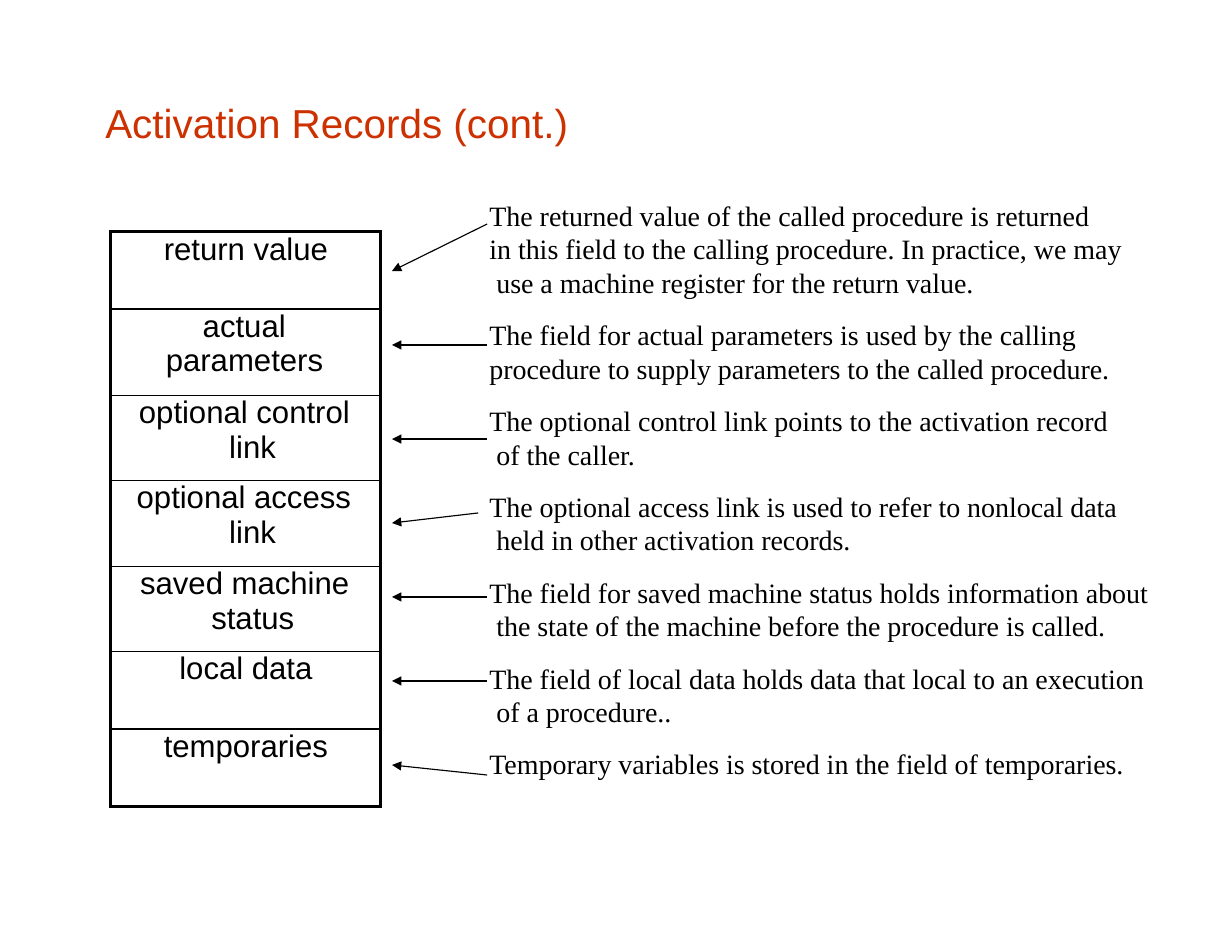
from lxml import etree
from pptx import Presentation
from pptx.dml.color import RGBColor
from pptx.enum.shapes import MSO_CONNECTOR
from pptx.enum.text import PP_ALIGN
from pptx.oxml.ns import qn
from pptx.util import Inches, Pt

CENTER = PP_ALIGN.CENTER
STRAIGHT = MSO_CONNECTOR.STRAIGHT
BLACK = "000000"


def color(hex_string):
    return RGBColor.from_string(hex_string)


def write(p, text, size, font, hex_string, spacing=0):
    """Add one run per line of text; spacing is in hundredths of a point."""
    for i, line in enumerate(text.split("\n")):
        if i:
            p.add_line_break()
        r = p.add_run()
        r.text = line
        r.font.size = Pt(size)
        r.font.name = font
        r.font.color.rgb = color(hex_string)
        r._r.get_or_add_rPr().set("spc", str(spacing))


# Field name, row height, (margin, first-line indent) or None if centred,
# description, arrow (tail x, tail y, head y)
FIELDS = [
    ("return value", 0.69, None,
     "The returned value of the called procedure is returned\n"
     "in this field to the calling procedure. In practice, we may\n"
     " use a machine register for the return value.", (4.35, 2.0, 2.42)),
    ("actual\nparameters", 0.77, (0.49, 0.33),
     "The field for actual parameters is used by the calling\n"
     "procedure to supply parameters to the called procedure.", (4.35, 3.08, 3.08)),
    ("optional control\n link", 0.76, (0.98, -0.73),
     "The optional control link points to the activation record\n"
     " of the caller.", (4.35, 3.92, 3.92)),
    ("optional access\n link", 0.77, (0.98, -0.75),
     "The optional access link is used to refer to nonlocal data\n"
     " held in other activation records.", (4.27, 4.58, 4.67)),
    ("saved machine\n status", 0.76, (0.82, -0.56),
     "The field for saved machine status holds information about\n"
     " the state of the machine before the procedure is called.", (4.35, 5.33, 5.33)),
    ("local data", 0.69, None,
     "The field of local data holds data that local to an execution\n"
     " of a procedure..", (4.35, 6.08, 6.08)),
    ("temporaries", 0.69, None,
     "Temporary variables is stored in the field of temporaries.", (4.35, 6.92, 6.83)),
]

prs = Presentation()
prs.slide_width = Inches(11)
prs.slide_height = Inches(8.5)
s = prs.slides.add_slide(prs.slide_layouts[6])

# Title and description boxes
frames = []
for left, top, width, height in [(0.94, 0.88, 9.15, 0.46), (4.37, 1.77, 5.93, 5.23)]:
    tf = s.shapes.add_textbox(Inches(left), Inches(top), Inches(width), Inches(height)).text_frame
    tf.margin_left = tf.margin_top = tf.margin_right = tf.margin_bottom = 0
    tf.word_wrap = False
    frames.append(tf)
title, descriptions = frames
write(title.paragraphs[0], "Activation Records (cont.)", 26, "Arial", "CD3100")

for i, (name, height, indent, text, arrow) in enumerate(FIELDS):
    p = descriptions.add_paragraph() if i else descriptions.paragraphs[0]
    if i:
        p.space_before = Pt(12)
    write(p, text, 18, "Times New Roman", BLACK, -3)

# Activation record
table = s.shapes.add_table(len(FIELDS), 1, Inches(0.99), Inches(2.07),
                           Inches(2.41), Inches(5.13)).table
table.first_row = False
table.horz_banding = False
last = len(FIELDS) - 1
for i, (name, height, indent, text, arrow) in enumerate(FIELDS):
    table.rows[i].height = Inches(height)
    cell = table.cell(i, 0)
    cell.margin_left = cell.margin_top = cell.margin_right = cell.margin_bottom = 0
    p = cell.text_frame.paragraphs[0]
    if indent:
        pPr = p._p.get_or_add_pPr()
        pPr.set("marL", str(Inches(indent[0])))
        pPr.set("indent", str(Inches(indent[1])))
    else:
        p.alignment = CENTER
    write(p, name, 20, "Arial", BLACK, -3)

    tcPr = cell._tc.get_or_add_tcPr()
    borders = {"lnL": 2.25, "lnR": 2.25,
               "lnT": 1 if i else 2.25, "lnB": 1 if i < last else 2.25}
    for side, points in borders.items():
        ln = etree.SubElement(tcPr, qn("a:" + side), w=str(Pt(points)))
        fill = etree.SubElement(ln, qn("a:solidFill"))
        etree.SubElement(fill, qn("a:srgbClr"), val=BLACK)
    cell.fill.background()

# Arrows from the descriptions to the fields
for name, height, indent, text, (tail_x, tail_y, head_y) in FIELDS:
    arrow = s.shapes.add_connector(STRAIGHT, Inches(tail_x), Inches(tail_y),
                                   Inches(3.5), Inches(head_y))
    arrow.line.color.rgb = color(BLACK)
    arrow.line.width = Pt(0.75)
    etree.SubElement(arrow.line._get_or_add_ln(), qn("a:tailEnd"),
                     type="triangle", w="med", len="med")
    etree.SubElement(arrow._element.spPr, qn("a:effectLst"))

prs.save("out.pptx")
